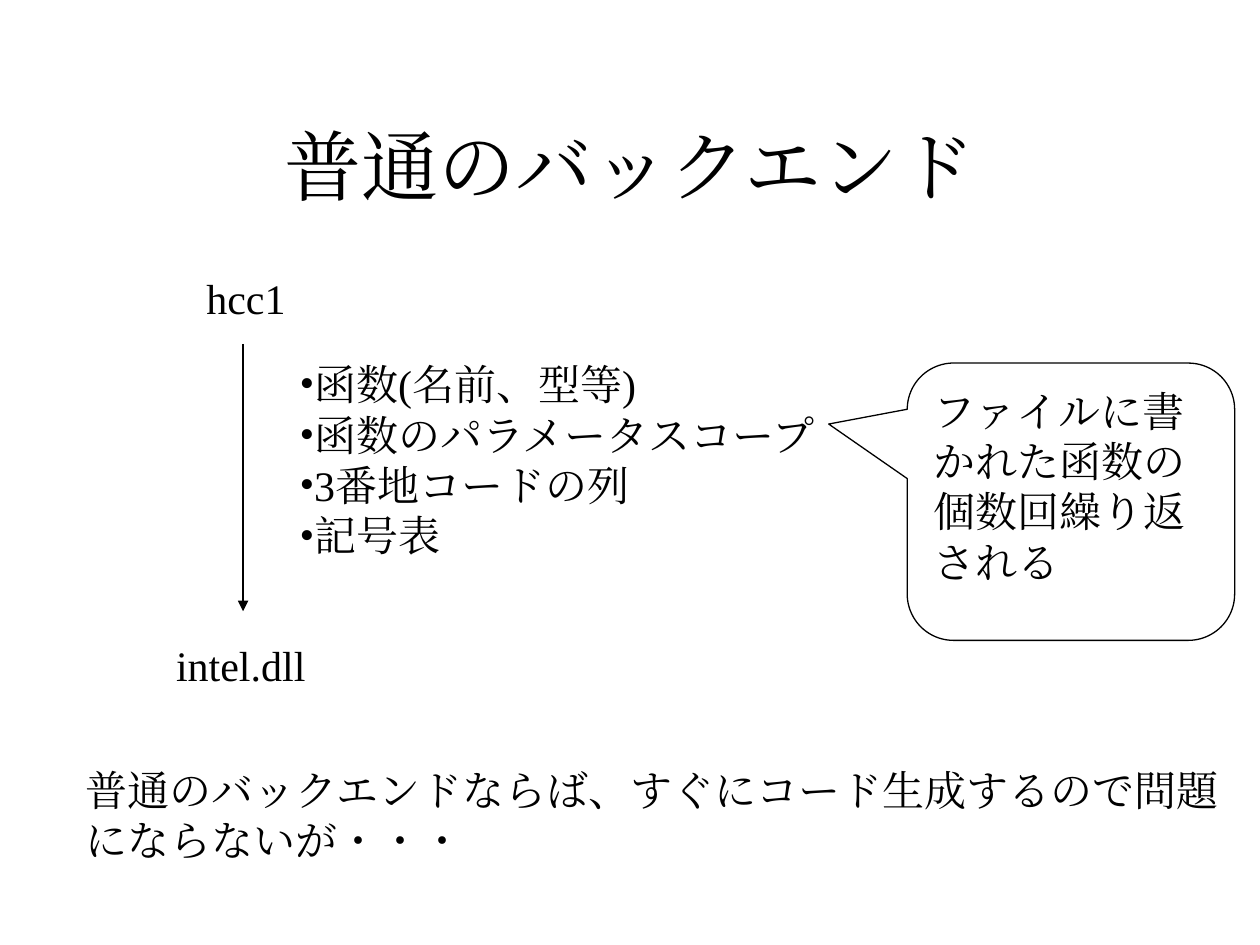
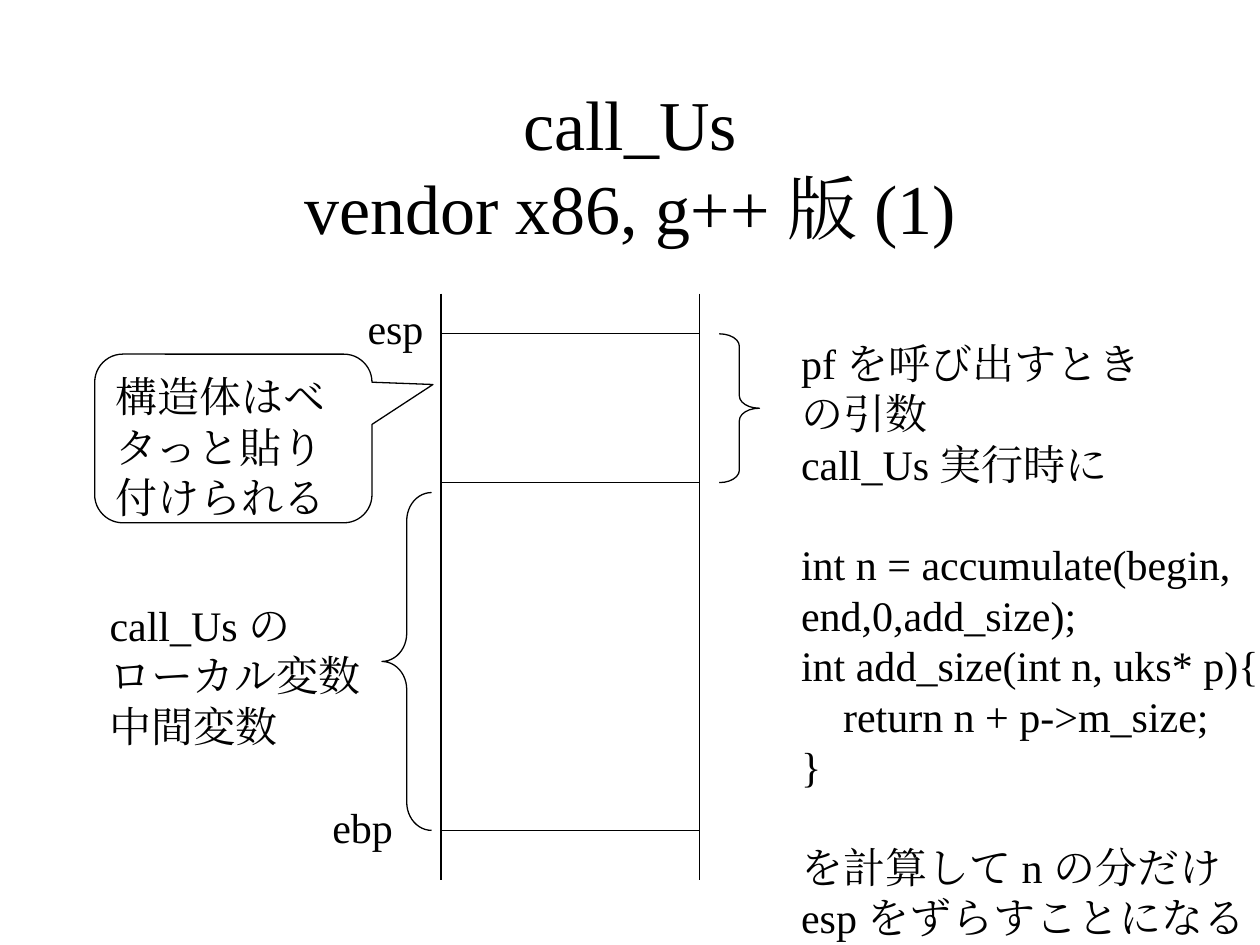
from dataclasses import dataclass

from lxml import etree
from pptx import Presentation
from pptx import util as u
from pptx.dml import color
from pptx.enum import shapes, text
from pptx.oxml import ns

COLORS = {"paper": "FFFFFF", "ink": "000000"}
FONT = "Times New Roman"
BODY_SIZE = 24
LINE_RATIO = 1.2
LINE_WIDTH = u.Pt(0.75)
BULLET_INDENT = u.Cm(0.28)


@dataclass
class Box:
    left: float
    top: float
    width: float
    height: float

    def emu(self) -> list[int]:
        return [u.Cm(v) for v in (self.left, self.top, self.width, self.height)]


@dataclass
class Label:
    box: Box
    lines: list[str]
    bullets: bool = False
    gaps_before: tuple[int, ...] = ()


@dataclass
class Line:
    x1: float
    y1: float
    x2: float
    y2: float
    arrow: bool = False


@dataclass
class Callout:
    box: Box
    words: str
    tip: tuple[float, float]


@dataclass
class Brace:
    box: Box
    kind: shapes.MSO_SHAPE


TITLE_BOX = Box(1.91, 1.7, 21.59, 3.18)


def rgb(name: str) -> color.RGBColor:
    return color.RGBColor.from_string(COLORS[name])


def add_xml(parent, tag: str, **attrs: str):
    return etree.SubElement(parent, ns.qn(tag), attrs)


def write(tf, lines: list[str], size: int = BODY_SIZE, bullets: bool = False,
          gaps_before: tuple[int, ...] = ()) -> None:
    tf.margin_top = u.Cm(0.17)
    pitch = u.Pt(size * LINE_RATIO)
    for i, line in enumerate(lines):
        p = tf.paragraphs[0] if i == 0 else tf.add_paragraph()
        p.text = line
        p.alignment = text.PP_ALIGN.LEFT
        p.line_spacing = pitch
        if i in gaps_before:
            p.space_before = pitch
        if bullets:
            pPr = p._p.get_or_add_pPr()
            pPr.set("marL", str(BULLET_INDENT))
            pPr.set("indent", str(-BULLET_INDENT))
            add_xml(pPr, "a:buFont", typeface=FONT)
            add_xml(pPr, "a:buChar", char="•")
        for r in p.runs:
            r.font.size = u.Pt(size)
            r.font.name = FONT
            r.font.color.rgb = rgb("ink")
            add_xml(r._r.get_or_add_rPr(), "a:ea", typeface=FONT)


def add_slide(prs, title: str):
    s = prs.slides.add_slide(prs.slide_layouts[6])
    s.background.fill.solid()
    s.background.fill.fore_color.rgb = rgb("paper")
    tf = s.shapes.add_textbox(*TITLE_BOX.emu()).text_frame
    tf.word_wrap = True
    tf.vertical_anchor = text.MSO_ANCHOR.MIDDLE
    write(tf, [title], size=40 if "\n" in title else 44)
    tf.paragraphs[0].alignment = text.PP_ALIGN.CENTER
    return s


def add_label(s, label: Label) -> None:
    tf = s.shapes.add_textbox(*label.box.emu()).text_frame
    tf.word_wrap = False
    tf.auto_size = text.MSO_AUTO_SIZE.SHAPE_TO_FIT_TEXT
    write(tf, label.lines, bullets=label.bullets, gaps_before=label.gaps_before)


def add_line(s, line: Line) -> None:
    ends = [u.Cm(v) for v in (line.x1, line.y1, line.x2, line.y2)]
    sp = s.shapes.add_connector(shapes.MSO_CONNECTOR.STRAIGHT, *ends)
    sp.line.color.rgb = rgb("ink")
    sp.line.width = LINE_WIDTH
    if line.arrow:
        add_xml(sp.line._get_or_add_ln(), "a:tailEnd", type="triangle")
    add_xml(sp._element.spPr, "a:effectLst")


def add_outline(s, kind: shapes.MSO_SHAPE, box: Box):
    sp = s.shapes.add_shape(kind, *box.emu())
    sp.shadow.inherit = False
    sp.fill.background()
    sp.line.color.rgb = rgb("ink")
    sp.line.width = LINE_WIDTH
    return sp


def add_callout(s, callout: Callout) -> None:
    sp = add_outline(s, shapes.MSO_SHAPE.ROUNDED_RECTANGULAR_CALLOUT, callout.box)
    for i, value in enumerate((*callout.tip, 0.167)):
        sp.adjustments[i] = value
    tf = sp.text_frame
    tf.word_wrap = True
    tf.vertical_anchor = text.MSO_ANCHOR.TOP
    write(tf, [callout.words])


def add_brace(s, brace: Brace) -> None:
    sp = add_outline(s, brace.kind, brace.box)
    sp.adjustments[0] = brace.box.height / 12 / brace.box.width


def build_backend(prs) -> None:
    s = add_slide(prs, "普通のバックエンド")
    labels = [
        Label(Box(3.91, 5.33, 2.11, 1.27), ["hcc1"]),
        Label(Box(3.3, 12.73, 3.12, 1.27), ["intel.dll"]),
        Label(Box(5.79, 7.06, 11.51, 4.32),
              ["函数(名前、型等)", "函数のパラメータスコープ", "3番地コードの列", "記号表"],
              bullets=True),
        Label(Box(1.47, 15.24, 23.37, 2.29),
              ["普通のバックエンドならば、すぐにコード生成するので問題",
               "にならないが・・・"]),
    ]
    for label in labels:
        add_label(s, label)
    add_line(s, Line(4.9, 6.93, 4.9, 12.32, arrow=True))
    add_callout(s, Callout(Box(18.29, 7.32, 6.6, 5.59),
                           "ファイルに書かれた函数の個数回繰り返される",
                           (-0.74, -0.28)))


def build_call_stack(prs) -> None:
    s = add_slide(prs, "call_Us\nvendor x86, g++ 版 (1)")
    stack_left, stack_right = 8.89, 14.1
    esp_y, args_end_y, ebp_y = 6.73, 9.73, 16.74
    rails = [Line(x, 5.92, x, 17.73) for x in (stack_left, stack_right)]
    levels = [Line(stack_left, y, stack_right, y) for y in (ebp_y, args_end_y, esp_y)]
    for line in rails + levels:
        add_line(s, line)
    locals_top = 9.93
    add_brace(s, Brace(Box(7.7, locals_top, 1, ebp_y - locals_top),
                       shapes.MSO_SHAPE.LEFT_BRACE))
    add_brace(s, Brace(Box(14.5, esp_y, 0.81, args_end_y - esp_y),
                       shapes.MSO_SHAPE.RIGHT_BRACE))
    labels = [
        Label(Box(1.96, 11.91, 5.59, 3.3), ["call_Us の", "ローカル変数", "中間変数"]),
        Label(Box(6.45, 15.98, 1.73, 1.27), ["ebp"]),
        Label(Box(7.16, 5.92, 1.63, 1.27), ["esp"]),
        Label(Box(15.9, 6.63, 9.73, 12.45),
              ["pf を呼び出すとき", "の引数", "call_Us 実行時に",
               "int n = accumulate(begin,", "end,0,add_size);",
               "int add_size(int n, uks* p){", "    return n + p->m_size;", "}",
               "を計算して n の分だけ", "esp をずらすことになる"],
              gaps_before=(3, 8)),
    ]
    for label in labels:
        add_label(s, label)
    add_callout(s, Callout(Box(1.91, 7.14, 5.59, 3.4),
                           "構造体はベタっと貼り付けられる", (0.72, -0.32)))


def main() -> None:
    prs = Presentation()
    prs.slide_width = u.Cm(25.4)
    prs.slide_height = u.Cm(19.05)
    build_backend(prs)
    build_call_stack(prs)
    prs.save("out.pptx")


if __name__ == "__main__":
    main()
